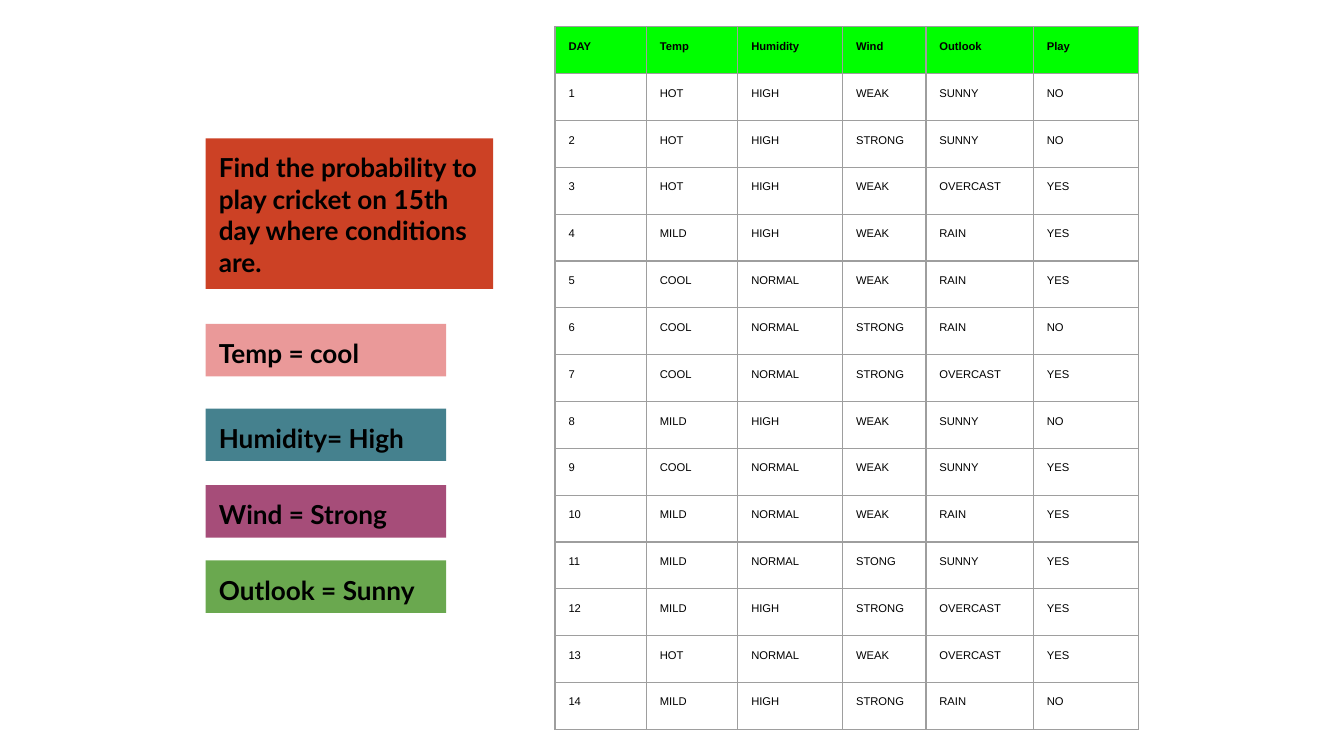
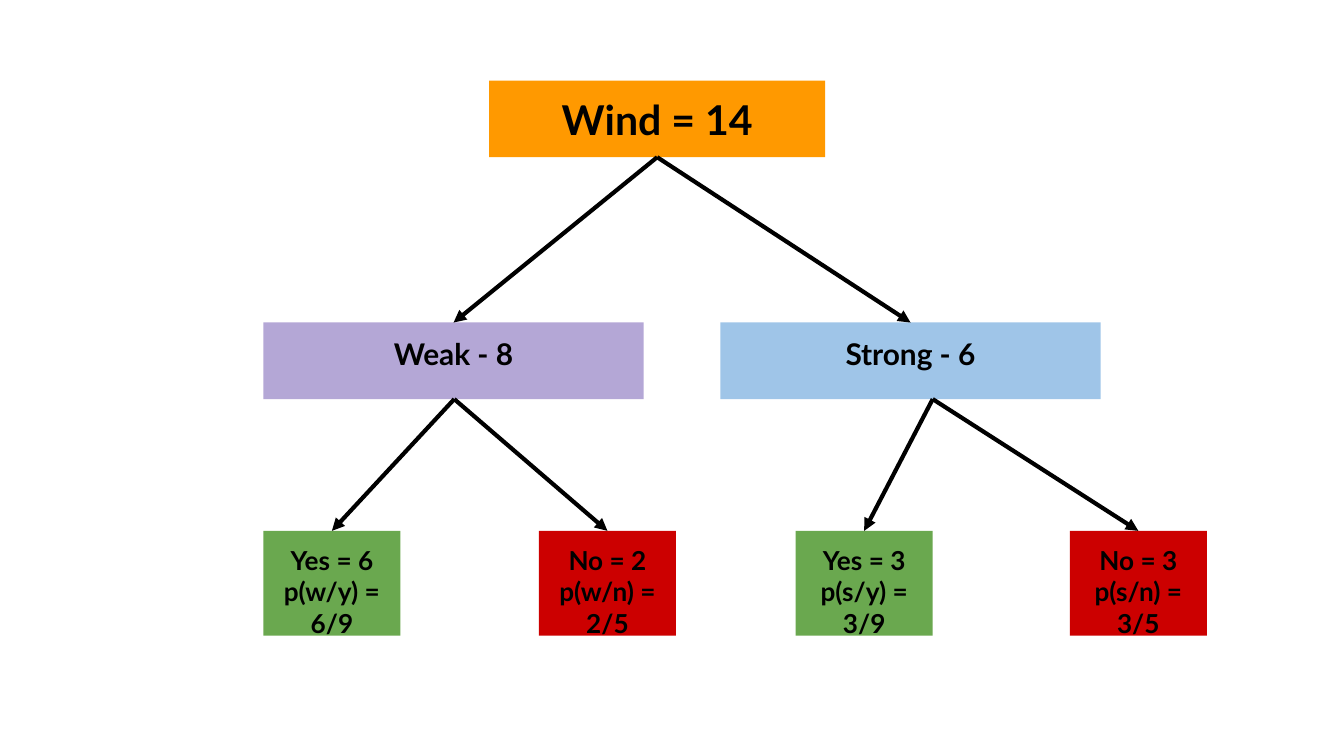
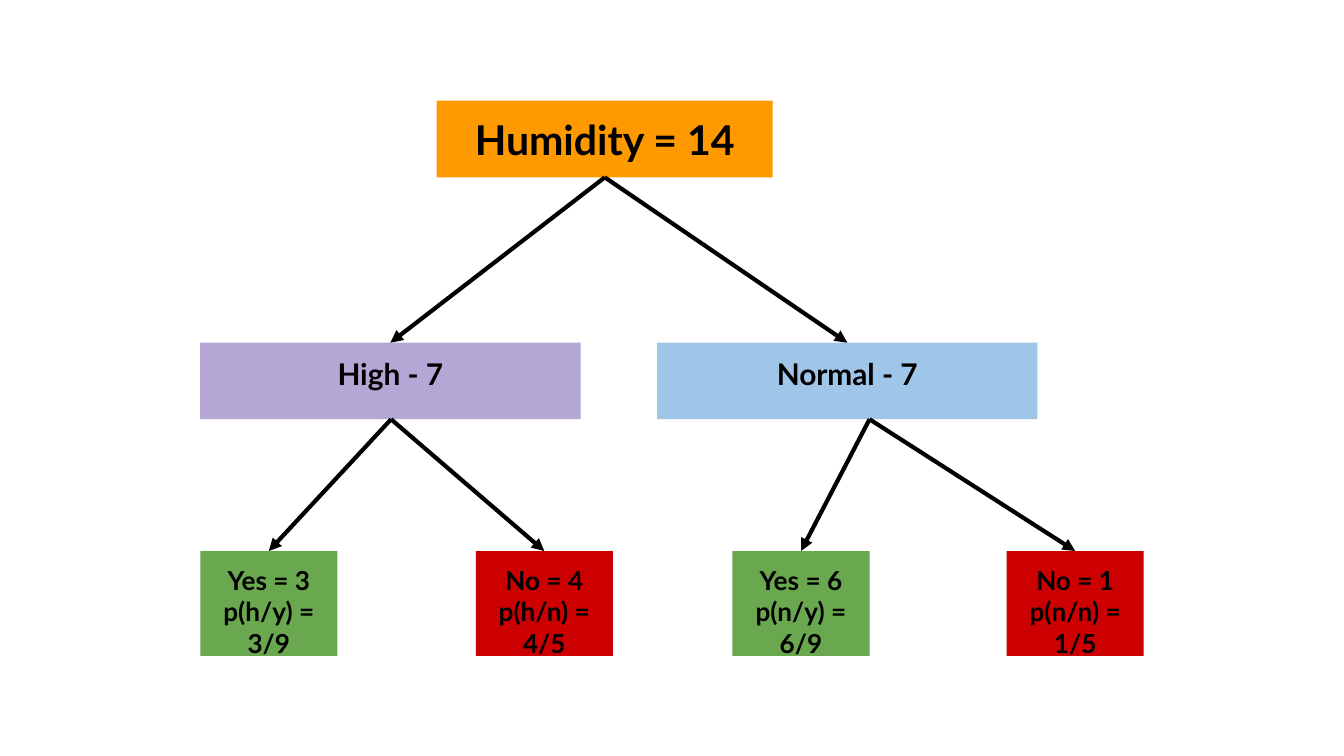
from dataclasses import dataclass

from lxml import etree
from pptx import Presentation
from pptx import util as u
from pptx.dml.color import RGBColor
from pptx.enum import shapes, text
from pptx.oxml import ns

PX = 9144  # 100 px to the inch


@dataclass(frozen=True)
class Theme:
    ink: str = "000000"
    border: str = "9E9E9E"
    header: str = "00FF00"
    question: str = "CC4125"
    temp: str = "EA9999"
    humidity: str = "45818E"
    wind: str = "A64D79"
    green: str = "6AA84F"
    root: str = "FF9900"
    first_branch: str = "B4A7D6"
    second_branch: str = "9FC5E8"
    no: str = "CC0000"
    font: str = "Lato"
    table_font: str = "Arial"
    root_size: int = 22
    branch_size: int = 16
    body_size: int = 14
    table_size: int = 6
    arrow_width: float = 2.25
    border_width: float = 0.75
    inset: int = 10


def px(length):
    return u.Emu(round(length * PX))


def xml_child(parent, tag, **attributes):
    return etree.SubElement(parent, ns.qn(tag), attributes)


class Painter:
    """Holds the theme and the slide being drawn."""

    def __init__(self, deck, theme):
        self.deck = deck
        self.theme = theme
        self.page = None

    def new_page(self):
        self.page = self.deck.slides.add_slide(self.deck.slide_layouts[6])

    def set_insets(self, target):
        for side in ("left", "top", "right", "bottom"):
            setattr(target, f"margin_{side}", px(self.theme.inset))

    def add_span(self, para, words, size, font, bold):
        span = para.add_run()
        span.text = words
        span.font.size = u.Pt(size)
        span.font.name = font
        span.font.bold = bold
        span.font.color.rgb = RGBColor.from_string(self.theme.ink)

    def box(self, left, top, width, height, fill, lines, size, align=text.PP_ALIGN.CENTER):
        box = self.page.shapes.add_shape(
            shapes.MSO_SHAPE.RECTANGLE, px(left), px(top), px(width), px(height))
        box.shadow.inherit = False
        box.fill.solid()
        box.fill.fore_color.rgb = RGBColor.from_string(fill)
        box.line.fill.background()
        frame = box.text_frame
        frame.word_wrap = True
        frame.vertical_anchor = text.MSO_ANCHOR.TOP
        self.set_insets(frame)
        for index, words in enumerate(lines):
            para = frame.add_paragraph() if index else frame.paragraphs[0]
            para.alignment = align
            self.add_span(para, words, size, self.theme.font, True)

    def arrow(self, start, end):
        arrow = self.page.shapes.add_connector(
            shapes.MSO_CONNECTOR.STRAIGHT, *map(px, (*start, *end)))
        arrow.line.width = u.Pt(self.theme.arrow_width)
        arrow.line.color.rgb = RGBColor.from_string(self.theme.ink)
        properties = arrow._element.spPr
        xml_child(properties.find(ns.qn("a:ln")), "a:tailEnd", type="triangle")
        xml_child(properties, "a:effectLst")

    def border(self, cell):
        properties = cell._tc.get_or_add_tcPr()
        for index, side in enumerate(("a:lnL", "a:lnR", "a:lnT", "a:lnB")):
            line = etree.Element(ns.qn(side), w=str(u.Pt(self.theme.border_width)))
            solid = xml_child(line, "a:solidFill")
            xml_child(solid, "a:srgbClr", val=self.theme.border)
            properties.insert(index, line)

    def table(self, left, top, widths, height, rows):
        table = self.page.shapes.add_table(
            len(rows), len(widths), px(left), px(top), px(sum(widths)), px(height)).table
        table.horz_banding = False
        for column, width in zip(table.columns, widths):
            column.width = px(width)
        for row_index, row in enumerate(rows):
            is_header = row_index == 0
            for column_index, words in enumerate(row):
                cell = table.cell(row_index, column_index)
                if is_header:
                    cell.fill.solid()
                    cell.fill.fore_color.rgb = RGBColor.from_string(self.theme.header)
                else:
                    cell.fill.background()
                self.border(cell)
                self.set_insets(cell)
                self.add_span(cell.text_frame.paragraphs[0], words,
                              self.theme.table_size, self.theme.table_font, is_header)

    def tree(self, left, top, root_left, root, branches):
        """Draw a root, its two branches and a yes and a no leaf under each."""
        theme = self.theme
        root_width, branch_width, box_height = 250, 283, 57
        leaf_width, leaf_height = 102, 78
        branch_top, leaf_top = top + 180, top + 335
        root_foot = (root_left + root_width / 2, top + box_height)
        self.box(root_left, top, root_width, box_height, theme.root, [root], theme.root_size)

        branch_places = ((0, 142, (0, 205), theme.first_branch),
                         (340, 498, (396, 600), theme.second_branch))
        for (label, leaves), (offset, fork, leaf_offsets, fill) in zip(branches, branch_places):
            branch_left = left + offset
            self.box(branch_left, branch_top, branch_width, box_height, fill,
                     [label], theme.branch_size)
            self.arrow(root_foot, (branch_left + branch_width / 2, branch_top))
            for lines, leaf_offset, leaf_fill in zip(leaves, leaf_offsets, (theme.green, theme.no)):
                leaf_left = left + leaf_offset
                self.box(leaf_left, leaf_top, leaf_width, leaf_height, leaf_fill,
                         lines, theme.body_size)
                self.arrow((left + fork, branch_top + box_height),
                           (leaf_left + leaf_width / 2, leaf_top))


WEATHER = """
DAY Temp Humidity Wind Outlook Play
1 HOT HIGH WEAK SUNNY NO
2 HOT HIGH STRONG SUNNY NO
3 HOT HIGH WEAK OVERCAST YES
4 MILD HIGH WEAK RAIN YES
5 COOL NORMAL WEAK RAIN YES
6 COOL NORMAL STRONG RAIN NO
7 COOL NORMAL STRONG OVERCAST YES
8 MILD HIGH WEAK SUNNY NO
9 COOL NORMAL WEAK SUNNY YES
10 MILD NORMAL WEAK RAIN YES
11 MILD NORMAL STONG SUNNY YES
12 MILD HIGH STRONG OVERCAST YES
13 HOT NORMAL WEAK OVERCAST YES
14 MILD HIGH STRONG RAIN NO
"""


def weather_page(painter):
    theme = painter.theme
    painter.new_page()
    rows = [line.split() for line in WEATHER.strip().splitlines()]
    painter.table(413, 20, (68, 68, 78, 62, 80, 78), 523, rows)
    notes = (
        (103, 214, 112, theme.question,
         "Find the probability to play cricket on 15th day where conditions are."),
        (241, 179, 39, theme.temp, "Temp = cool"),
        (304, 179, 39, theme.humidity, "Humidity= High"),
        (361, 179, 39, theme.wind, "Wind = Strong"),
        (417, 179, 39, theme.green, "Outlook = Sunny"),
    )
    for top, width, height, fill, words in notes:
        painter.box(153, top, width, height, fill, [words], theme.body_size, text.PP_ALIGN.LEFT)


def wind_page(painter):
    painter.new_page()
    painter.tree(196, 60, 364, "Wind = 14", (
        ("Weak - 8", (("Yes = 6", "p(w/y) = 6/9"), ("No = 2", "p(w/n) = 2/5"))),
        ("Strong - 6", (("Yes = 3", "p(s/y) = 3/9"), ("No = 3", "p(s/n) = 3/5"))),
    ))


def humidity_page(painter):
    painter.new_page()
    painter.tree(149, 75, 325, "Humidity = 14", (
        ("High - 7", (("Yes = 3", "p(h/y) = 3/9"), ("No = 4", "p(h/n) = 4/5"))),
        ("Normal - 7", (("Yes = 6", "p(n/y) = 6/9"), ("No = 1", "p(n/n) = 1/5"))),
    ))


def main():
    deck = Presentation()
    deck.slide_width = px(1000)
    deck.slide_height = u.Emu(deck.slide_width * 9 // 16)
    painter = Painter(deck, Theme())
    for draw_page in (weather_page, wind_page, humidity_page):
        draw_page(painter)
    deck.save("out.pptx")


if __name__ == "__main__":
    main()
